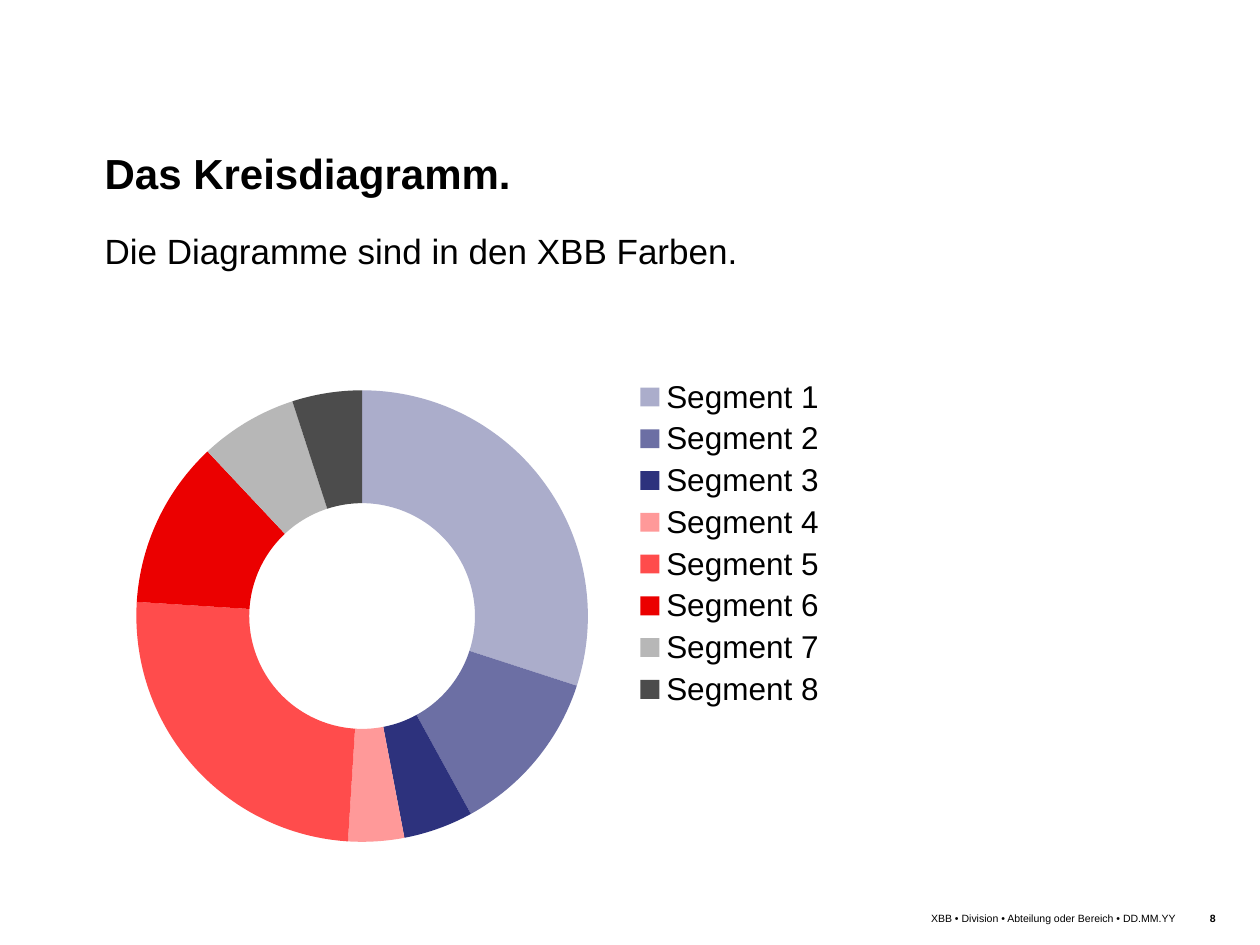
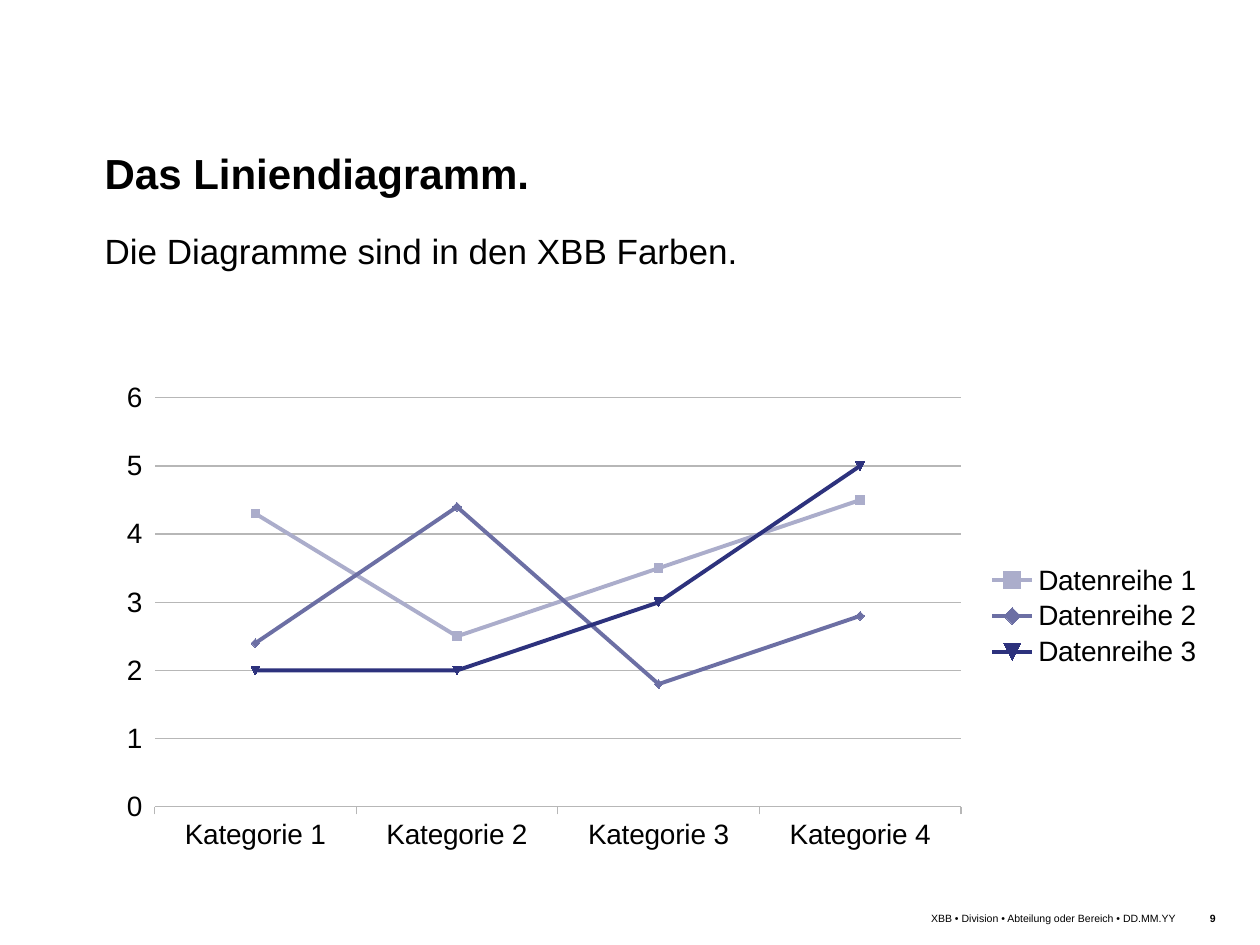
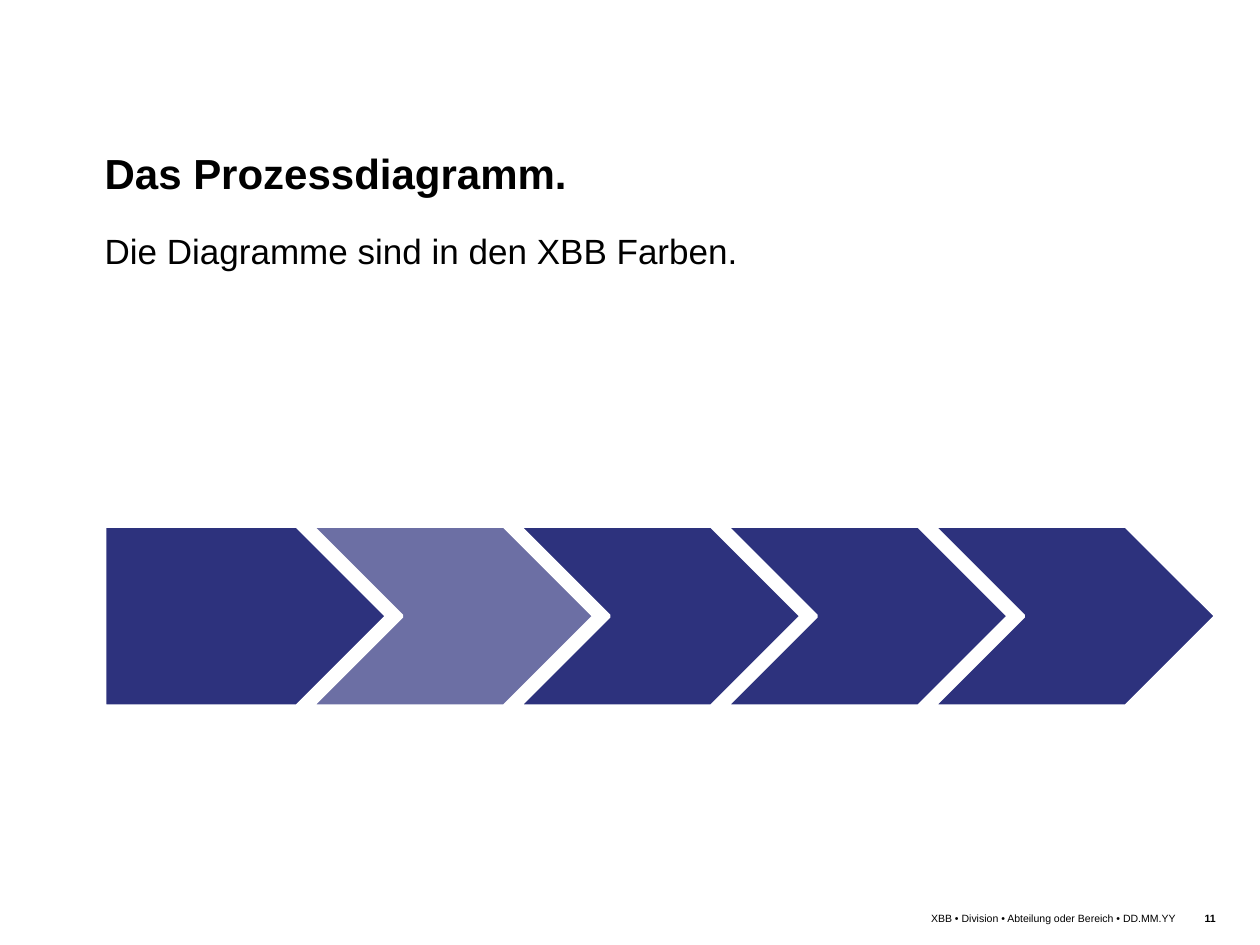
import pptx
import pptx.util
import pptx.dml.color
import pptx.chart.data
import pptx.enum.chart
import pptx.enum.shapes
import pptx.enum.text

RGBColor = pptx.dml.color.RGBColor
BLACK = RGBColor(0x00, 0x00, 0x00)
WHITE = RGBColor(0xFF, 0xFF, 0xFF)
BLUE_LIGHT = RGBColor(0xAB, 0xAD, 0xCB)
BLUE_MEDIUM = RGBColor(0x6C, 0x6F, 0xA4)
BLUE = RGBColor(0x2D, 0x32, 0x7D)
RED_LIGHT = RGBColor(0xFF, 0x99, 0x99)
RED_MEDIUM = RGBColor(0xFF, 0x4C, 0x4C)
RED = RGBColor(0xEB, 0x00, 0x00)
GREY = RGBColor(0xB7, 0xB7, 0xB7)
GREY_DARK = RGBColor(0x4C, 0x4C, 0x4C)
BLUES = [BLUE_LIGHT, BLUE_MEDIUM, BLUE]
SEGMENT_COLOURS = BLUES + [RED_LIGHT, RED_MEDIUM, RED, GREY, GREY_DARK]

FONT = "Arial"
SUBTITLE = "Die Diagramme sind in den XBB Farben."
FOOTER = "XBB • Division • Abteilung oder Bereich • DD.MM.YY"

Inches = pptx.util.Inches
Pt = pptx.util.Pt
Align = pptx.enum.text.PP_ALIGN
Anchor = pptx.enum.text.MSO_ANCHOR
ChartType = pptx.enum.chart.XL_CHART_TYPE
LegendPosition = pptx.enum.chart.XL_LEGEND_POSITION
Preset = pptx.enum.shapes.MSO_SHAPE

WIDTH, HEIGHT = Inches(10), Inches(7.5)
LEFT = Inches(0.83)
CONTENT_WIDTH = Inches(8.82)
TITLE_BOX = (LEFT, Inches(0.76), CONTENT_WIDTH, Inches(0.81))
SUBTITLE_BOX = (LEFT, Inches(1.81), CONTENT_WIDTH, Inches(0.79))
CONTENT_BOX = (LEFT, Inches(2.96), CONTENT_WIDTH, Inches(3.86))
FOOTER_BOX = (WIDTH // 2, Inches(7.24), Inches(4.33), Inches(0.13))
NUMBER_BOX = (Inches(9.32), Inches(7.24), Inches(0.33), Inches(0.13))


def style_font(font, size, bold=False):
    """Apply the shared typeface and colour."""
    font.name = FONT
    font.size = Pt(size)
    font.bold = bold
    font.color.rgb = BLACK


def fill_text(shape, box, text, size, bold=False, align=Align.LEFT,
              anchor=Anchor.TOP, wrap=True):
    """Place a text shape in a box and write one paragraph without margins."""
    shape.left, shape.top, shape.width, shape.height = box
    frame = shape.text_frame
    frame.margin_left = frame.margin_right = 0
    frame.margin_top = frame.margin_bottom = 0
    frame.text = text
    frame.word_wrap = wrap
    frame.auto_size = pptx.enum.text.MSO_AUTO_SIZE.NONE
    frame.vertical_anchor = anchor
    paragraph = frame.paragraphs[0]
    paragraph.alignment = align
    style_font(paragraph.runs[0].font, size, bold)
    return paragraph


def add_page(presentation, title, number):
    """Add a slide with title, subtitle, footer and page number."""
    slide = presentation.slides.add_slide(presentation.slide_layouts[5])
    fill_text(slide.shapes.title, TITLE_BOX, title, 24, True, anchor=Anchor.BOTTOM)
    footer = slide.shapes.add_textbox(*FOOTER_BOX)
    fill_text(footer, FOOTER_BOX, FOOTER, 6, align=Align.RIGHT, wrap=False)
    page_number = slide.shapes.add_textbox(*NUMBER_BOX)
    fill_text(page_number, NUMBER_BOX, str(number), 6, True, Align.RIGHT)
    subtitle = slide.shapes.add_textbox(*SUBTITLE_BOX)
    fill_text(subtitle, SUBTITLE_BOX, SUBTITLE, 20).line_spacing = Pt(25)
    return slide


def add_styled_chart(slide, box, chart_type, categories, series, size, legend):
    """Add a chart with the shared font and a legend beside the plot."""
    data = pptx.chart.data.CategoryChartData()
    data.categories = categories
    for name, values in series.items():
        data.add_series(name, values)
    chart = slide.shapes.add_chart(chart_type, *box, data).chart
    style_font(chart.font, size)
    chart.has_title = False
    chart.has_legend = True
    chart.legend.position = legend
    chart.legend.include_in_layout = False
    return chart


def add_segment_chart(slide, box):
    """Draw the ring of eight segments in the left part of the box."""
    left, top, width, height = box
    values = [30, 12, 5, 4, 25, 12, 7, 5]
    categories = [f"Segment {index}" for index in range(1, len(values) + 1)]
    chart = add_styled_chart(
        slide, (left, top, int(width * 0.652), height), ChartType.DOUGHNUT,
        categories, {"Series 1": values}, 18, LegendPosition.CORNER)
    plot = chart.plots[0]
    plot.has_data_labels = False
    plot.vary_by_categories = True
    for index, colour in enumerate(SEGMENT_COLOURS):
        fill = plot.series[0].points[index].format.fill
        fill.solid()
        fill.fore_color.rgb = colour


def add_line_chart(slide, box):
    """Draw three data series as lines with markers."""
    categories = [f"Kategorie {index}" for index in range(1, 5)]
    series = {
        "Datenreihe 1": [4.3, 2.5, 3.5, 4.5],
        "Datenreihe 2": [2.4, 4.4, 1.8, 2.8],
        "Datenreihe 3": [2, 2, 3, 5],
    }
    chart = add_styled_chart(slide, box, ChartType.LINE_MARKERS, categories,
                             series, 16, LegendPosition.RIGHT)
    plot = chart.plots[0]
    plot.vary_by_categories = False
    for line, colour in zip(plot.series, BLUES):
        line.smooth = False
        line.format.line.color.rgb = colour
        line.format.line.width = Pt(2.25)
        marker = line.marker
        marker.size = 5
        marker.format.fill.solid()
        marker.format.fill.fore_color.rgb = colour
        marker.format.line.color.rgb = colour
    value_axis = chart.value_axis
    value_axis.minimum_scale, value_axis.maximum_scale = 0, 6
    value_axis.major_unit = 1
    value_axis.has_major_gridlines = True
    value_axis.format.line.fill.background()
    for grey_line in (value_axis.major_gridlines.format.line,
                      chart.category_axis.format.line):
        grey_line.color.rgb = GREY
        grey_line.width = Pt(0.75)


def add_process(slide, box, colours):
    """Draw a row of interlocking arrows, the first with a flat start."""
    left, top, width, height = box
    arrow_width, arrow_height = Inches(2.24), Inches(1.43)
    step = (width - arrow_width) / (len(colours) - 1)
    arrow_top = top + (height - arrow_height) // 2
    group = slide.shapes.add_group_shape()
    for index, colour in enumerate(colours):
        preset = Preset.CHEVRON if index else Preset.PENTAGON
        arrow = group.shapes.add_shape(preset, int(left + index * step), arrow_top,
                                       arrow_width, arrow_height)
        arrow.shadow.inherit = False
        arrow.fill.solid()
        arrow.fill.fore_color.rgb = colour
        arrow.line.color.rgb = WHITE
        arrow.line.width = Pt(2)


def main():
    """Build and save the three diagram slides."""
    presentation = pptx.Presentation()
    presentation.slide_width, presentation.slide_height = WIDTH, HEIGHT
    add_segment_chart(add_page(presentation, "Das Kreisdiagramm.", 8), CONTENT_BOX)
    add_line_chart(add_page(presentation, "Das Liniendiagramm.", 9), CONTENT_BOX)
    add_process(add_page(presentation, "Das Prozessdiagramm.", 11), CONTENT_BOX,
                [BLUE, BLUE_MEDIUM, BLUE, BLUE, BLUE])
    presentation.save("out.pptx")


main()
